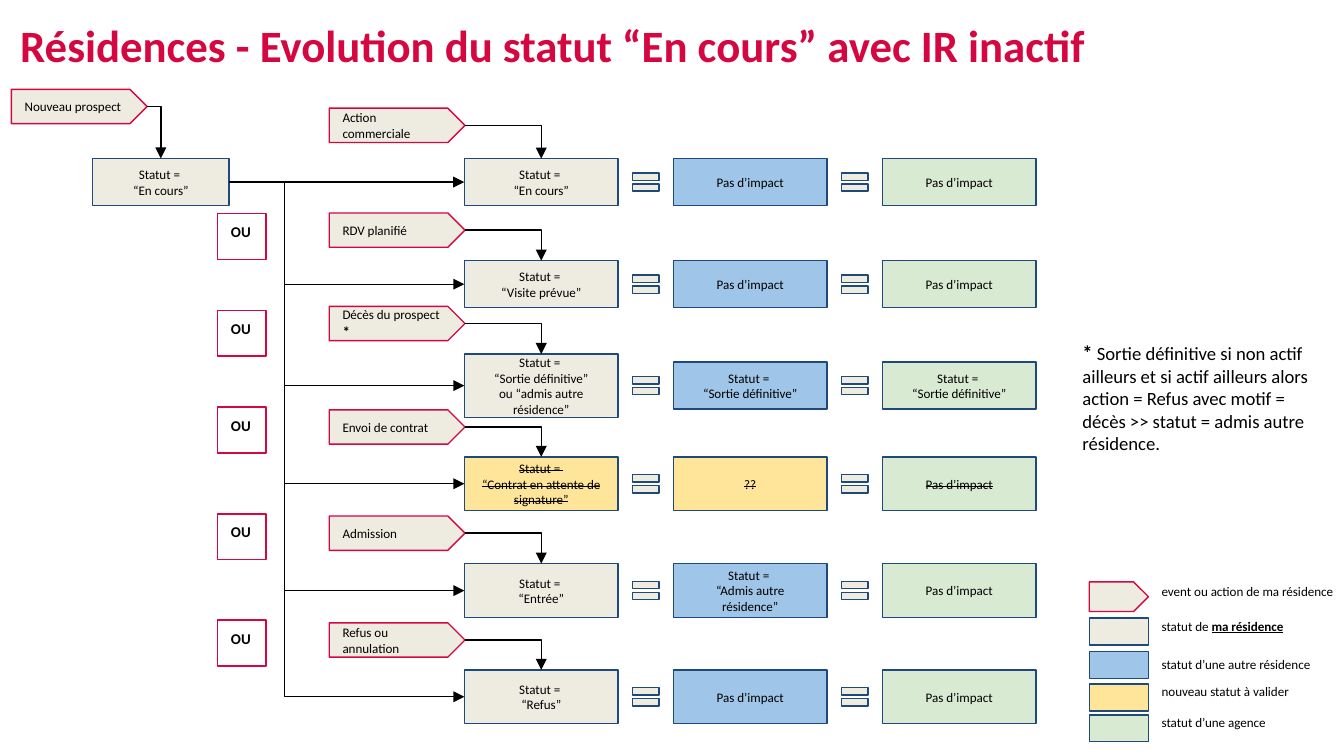
from lxml import etree
from pptx import Presentation
from pptx import util as u
from pptx.dml.color import RGBColor
from pptx.enum import shapes, text
from pptx.oxml import ns

PX = 4572
FONT = "Calibri"
RED = RGBColor(0xD4, 0x07, 0x40)
NAVY = RGBColor(0x1F, 0x49, 0x7D)
BEIGE = RGBColor(0xEE, 0xEC, 0xE1)
BLUE = RGBColor(0x9F, 0xC5, 0xE8)
GOLD = RGBColor(0xFF, 0xE5, 0x99)
GREEN = RGBColor(0xD9, 0xEA, 0xD3)
BLACK = RGBColor(0, 0, 0)
KIND = shapes.MSO_SHAPE
LINK = shapes.MSO_CONNECTOR
LEFT, MID = text.PP_ALIGN.LEFT, text.PP_ALIGN.CENTER
GROW = text.MSO_AUTO_SIZE.SHAPE_TO_FIT_TEXT
TOP, SIDE, RIGHT = 0, 1, 3

NONE = "Pas d’impact"
OUT = "Statut = \n“Sortie définitive”"
ROWS = [
    (161, 271, 70, 70, "Action commerciale", "Statut = \n“En cours”", NONE, NONE),
    (317, 423, 70, 70, "RDV planifié", "Statut = \n“Visite prévue”", NONE, NONE),
    (456, 574, 94, 70, "Décès du prospect ", OUT + "\nou “admis autre résidence”", OUT, OUT),
    (610, 720, 80, 80, "Envoi de contrat", "Statut = \n“Contrat en attente de signature”", "??", NONE),
    (768, 879, 80, 80, "Admission", "Statut = \n“Entrée”", "Statut = \n“Admis autre résidence”", NONE),
    (927, 1037, 80, 80, "Refus ou annulation", "Statut = \n“Refus”", NONE, NONE),
]
DOUBT, DEATH = 3, 2
KEYS = [
    (866, 857, BEIGE, "event ou action de ma résidence"),
    (920, 908, BEIGE, "statut de "),
    (970, 965, BLUE, "statut d’une autre résidence"),
    (1018, 1006, GOLD, "nouveau statut à valider"),
    (1064, 1052, GREEN, "statut d’une agence"),
]


def style(run, size, bold=False):
    run.font.name = FONT
    run.font.size = u.Pt(size)
    run.font.bold = bold
    run.font.color.rgb = BLACK


def write(shape, words, size=7, bold=False, align=LEFT, anchor=text.MSO_ANCHOR.MIDDLE):
    frame = shape.text_frame
    frame.word_wrap = True
    frame.vertical_anchor = anchor
    frame.margin_left = frame.margin_right = 20 * PX
    frame.margin_top = frame.margin_bottom = 20 * PX
    frame.text = words
    for para in frame.paragraphs:
        para.alignment = align
        for run in para.runs:
            style(run, size, bold)
    return frame


def extend(frame, words, size, bold=False):
    run = frame.paragraphs[0].add_run()
    run.text = words
    style(run, size, bold)
    return run


def block(slide, kind, x, y, w, h, fill, edge):
    shape = slide.shapes.add_shape(kind, x * PX, y * PX, w * PX, h * PX)
    shape.shadow.inherit = False
    if fill is None:
        shape.fill.background()
    else:
        shape.fill.solid()
        shape.fill.fore_color.rgb = fill
    shape.line.color.rgb = edge
    shape.line.width = u.Pt(0.75)
    return shape


def label(slide, x, y, w, h, words, size=7, bold=False):
    box = slide.shapes.add_textbox(x * PX, y * PX, w * PX, h * PX)
    return write(box, words, size, bold, anchor=text.MSO_ANCHOR.TOP)


def event(slide, x, y, words):
    shape = block(slide, KIND.PENTAGON, x, y, 202, 51, BEIGE, RED)
    write(shape, words)
    return shape


def status(slide, x, mid, w, h, words, fill):
    shape = block(slide, KIND.RECTANGLE, x, mid - h // 2, w, h, fill, NAVY)
    write(shape, words, align=MID)
    return shape


def arrow(slide, kind, start, out, end, into):
    line = slide.shapes.add_connector(kind, 0, 0, 0, 0)
    line.begin_connect(start, out)
    line.end_connect(end, into)
    line.line.color.rgb = BLACK
    line.line.width = u.Pt(0.75)
    props = line._element.spPr
    etree.SubElement(props.find(ns.qn("a:ln")), ns.qn("a:tailEnd"), type="triangle")
    etree.SubElement(props, ns.qn("a:effectLst"))
    return line


def drop(slide, start, end):
    line = arrow(slide, LINK.ELBOW, start, RIGHT, end, TOP)
    line._element.spPr.find(ns.qn("a:prstGeom")).set("prst", "bentConnector2")


def branch(slide, start, end, trunk):
    line = arrow(slide, LINK.ELBOW, start, RIGHT, end, SIDE)
    share = round((trunk * PX - line.begin_x) / line.width * 100000)
    geom = line._element.spPr.find(ns.qn("a:prstGeom"))
    guides = geom.find(ns.qn("a:avLst"))
    if guides is None:
        guides = etree.SubElement(geom, ns.qn("a:avLst"))
    etree.SubElement(guides, ns.qn("a:gd"), name="adj1", fmla=f"val {share}")


def row(slide, x, top, mid, tall, low, action, words, fills):
    pill = event(slide, x, top, action)
    cells = []
    for i, (line, fill) in enumerate(zip(words, fills)):
        left = x + 201 + 311 * i
        cells.append(status(slide, left, mid, 229, low if i else tall, line, fill))
        if i:
            block(slide, KIND.MATH_EQUAL, left - 68, mid - 23, 54, 46, BEIGE, NAVY)
    drop(slide, pill, cells[0])
    return pill, cells


def strike(cells):
    for cell in cells:
        for para in cell.text_frame.paragraphs:
            for run in para.runs:
                run.font._element.set("strike", "sngStrike")


def flow(slide, x, y):
    first = event(slide, x, y, "Nouveau prospect")
    start = status(slide, x + 121, y + 138, 203, 70, "Statut = \n“En cours”", BEIGE)
    drop(slide, first, start)
    for i, (top, mid, tall, low, action, *words) in enumerate(ROWS):
        fills = (GOLD, GOLD, GREEN) if i == DOUBT else (BEIGE, BLUE, GREEN)
        pill, cells = row(slide, x + 473, top, mid, tall, low, action, words, fills)
        if i == DEATH:
            extend(pill.text_frame, "*", 8, True)
        if i == DOUBT:
            strike(cells)
        if i:
            branch(slide, start, cells[0], x + 406)
        else:
            arrow(slide, LINK.STRAIGHT, start, RIGHT, cells[0], SIDE)
    for top in (318, 462, 606, 765, 923):
        box = block(slide, KIND.RECTANGLE, x + 307, top, 72, 68, None, RED)
        write(box, "OU", 8, True, anchor=text.MSO_ANCHOR.TOP).auto_size = GROW


def legend(slide, x):
    for i, (top, line, fill, words) in enumerate(KEYS):
        if i:
            block(slide, KIND.RECTANGLE, x, top, 88, 40, fill, NAVY)
        else:
            block(slide, KIND.PENTAGON, x, top, 88, 44, fill, RED)
        frame = label(slide, x + 88, line, 292, 64, words)
        frame.margin_right = 0
        if i == 1:
            extend(frame, "ma résidence", 7, True).font.underline = True


def note(slide, x, y):
    frame = label(slide, x, y, 382, 212, "*", 11, True)
    extend(
        frame,
        " Sortie définitive si non actif ailleurs et si actif ailleurs alors "
        "action = Refus avec motif = décès >> statut = admis autre résidence.",
        10,
    )


def head(slide, x, y, w, h):
    title = slide.shapes.title
    title.left, title.top, title.width, title.height = (n * PX for n in (x, y, w, h))
    frame = write(title, "Résidences - Evolution du statut “En cours” avec IR inactif", 24, True)
    frame.margin_top = frame.margin_bottom = 10 * PX
    frame.paragraphs[0].line_spacing = 0.9
    frame.paragraphs[0].runs[0].font.color.rgb = RED


def main():
    deck = Presentation()
    deck.slide_width, deck.slide_height = 2000 * PX, 1125 * PX
    slide = deck.slides.add_slide(deck.slide_layouts[5])
    head(slide, 10, 2, 1830, 140)
    flow(slide, 17, 133)
    note(slide, 1591, 486)
    legend(slide, 1621)
    deck.save("out.pptx")


if __name__ == "__main__":
    main()
